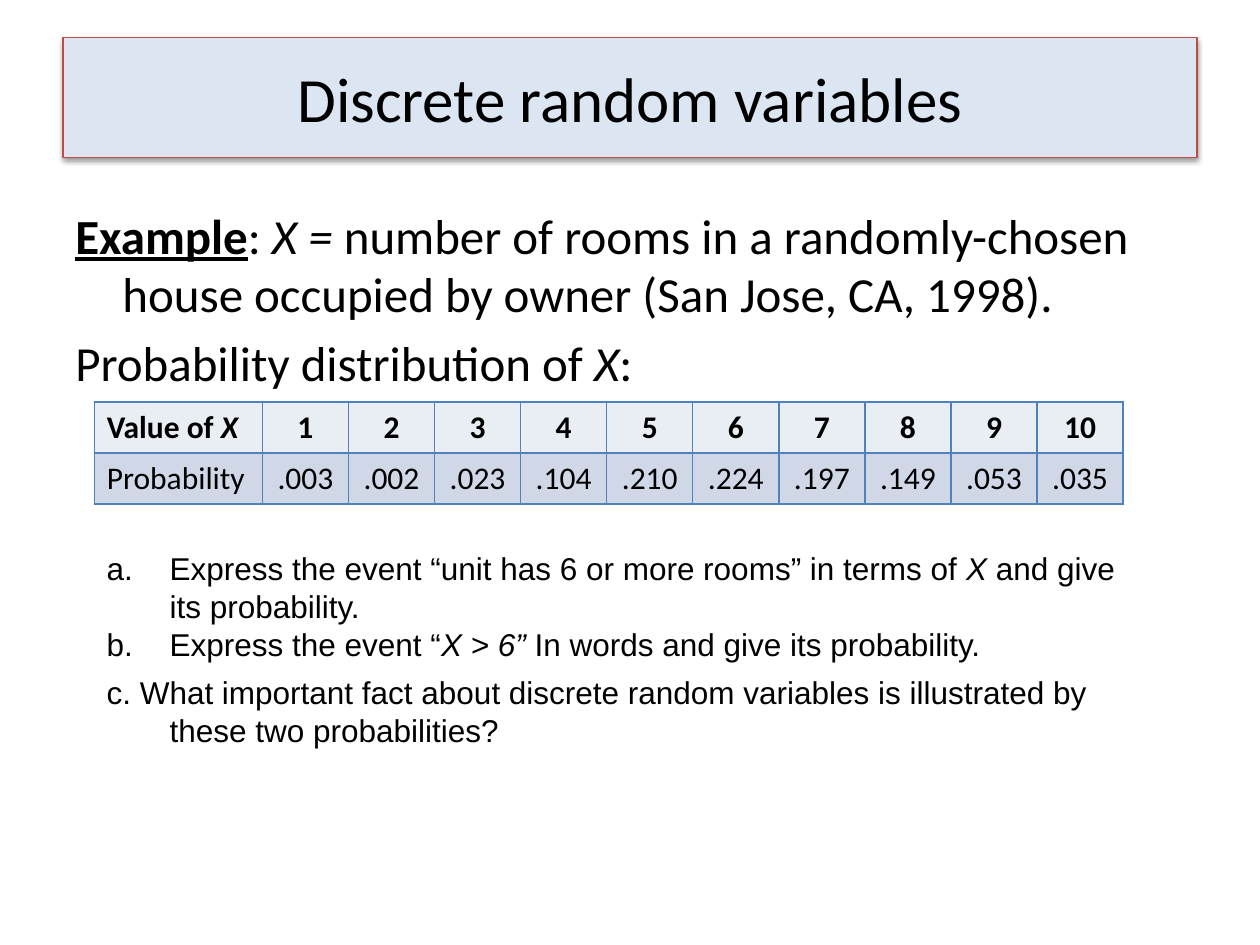
from lxml.etree import SubElement
from pptx import Presentation
from pptx.dml.color import RGBColor as RGB
from pptx.enum.shapes import MSO_SHAPE as Shape
from pptx.enum.text import MSO_ANCHOR as Anchor, PP_ALIGN as Align
from pptx.oxml import parse_xml
from pptx.oxml.ns import qn, nsdecls
from pptx.util import Cm, Pt

COLORS = {
    "text": "000000", "banner": "DCE6F2", "banner_line": "BE4B48",
    "head": "E9EDF4", "row": "D0D8E8", "grid": "4F81BD",
}
TITLE = "Discrete random variables"
INTRO = [
    [("Example", "bu"), (": ", ""), ("X = ", "i"),
     ("number of rooms in a randomly-chosen house occupied by owner "
      "(San Jose, CA, 1998).", "")],
    [("Probability distribution of ", ""), ("X", "i"), (":", "")],
]
HEAD = [("Value of ", "b"), ("X", "bi")]
PROBABILITIES = [".003", ".002", ".023", ".104", ".210",
                 ".224", ".197", ".149", ".053", ".035"]
QUESTIONS = [
    ([("Express the event “unit has 6 or more rooms” in terms of ", ""),
      ("X ", "i"), ("and give its probability.", "")], 1, 0),
    ([("Express the event “", ""), ("X > 6”", "i"),
      (" In words and give its probability.", "")], 2, 6),
    ([("c. What important fact about discrete random variables is "
       "illustrated by these two probabilities?", "")], None, 0),
]


def color(name):
    return RGB.from_string(COLORS[name])


def write(p, runs, size=18, font="Calibri", align=Align.LEFT,
          before=0, after=0, hang=0, number=None):
    p.alignment = align
    p.space_before, p.space_after = Pt(before), Pt(after)
    pPr = p._p.get_or_add_pPr()
    if hang:
        pPr.set("marL", str(Cm(hang)))
        pPr.set("indent", str(-Cm(hang)))
    if number:
        SubElement(pPr, qn("a:buFont"), typeface="+mj-lt")
        SubElement(pPr, qn("a:buAutoNum"), type="alphaLcPeriod",
                   startAt=str(number))
    for text, style in runs:
        r = p.add_run()
        r.text = text
        f = r.font
        f.name, f.size = font, Pt(size)
        f.color.rgb = color("text")
        f.bold, f.italic, f.underline = (k in style for k in "biu")


def add_text(s, left, top, width, height, paragraphs):
    tf = s.shapes.add_textbox(Cm(left), Cm(top), Cm(width), Cm(height)).text_frame
    tf.word_wrap = True
    for i, (runs, fmt) in enumerate(paragraphs):
        write(tf.add_paragraph() if i else tf.paragraphs[0], runs, **fmt)


def add_borders(cell):
    tcPr = cell._tc.get_or_add_tcPr()
    for i, side in enumerate(("lnL", "lnR", "lnT", "lnB")):
        tcPr.insert(i, parse_xml(
            f'<a:{side} {nsdecls("a")} w="{Pt(1)}"><a:solidFill>'
            f'<a:srgbClr val="{COLORS["grid"]}"/></a:solidFill></a:{side}>'))


def add_table(s):
    n = len(PROBABILITIES)
    rows = [
        [HEAD] + [[(str(i), "b")] for i in range(1, n + 1)],
        [[("Probability", "")]] + [[(v, "")] for v in PROBABILITIES],
    ]
    first, other, height = 3.39, 1.735, 1.03
    table = s.shapes.add_table(2, n + 1, Cm(1.9), Cm(8.1),
                               Cm(first + n * other), Cm(2 * height)).table
    for i, col in enumerate(table.columns):
        col.width = Cm(other if i else first)
    for y, (row, fill) in enumerate(zip(rows, ("head", "row"))):
        table.rows[y].height = Cm(height)
        for x, runs in enumerate(row):
            cell = table.cell(y, x)
            cell.fill.solid()
            cell.fill.fore_color.rgb = color(fill)
            add_borders(cell)
            write(cell.text_frame.paragraphs[0], runs,
                  align=Align.CENTER if x else Align.LEFT)


def add_banner(s):
    sp = s.shapes.add_shape(Shape.RECTANGLE, Cm(1.27), Cm(0.76), Cm(22.86), Cm(2.41))
    sp.fill.solid()
    sp.fill.fore_color.rgb = color("banner")
    sp.line.color.rgb = color("banner_line")
    sp.line.width = Pt(0.75)
    sp.shadow.inherit = False
    effects = sp._element.spPr.find(qn("a:effectLst"))
    effects.append(parse_xml(
        f'<a:outerShdw {nsdecls("a")} blurRad="{Pt(3.1)}" dist="{Pt(1.6)}" '
        'dir="5400000" rotWithShape="0"><a:srgbClr val="000000">'
        '<a:alpha val="38000"/></a:srgbClr></a:outerShdw>'))
    sp.text_frame.vertical_anchor = Anchor.MIDDLE
    write(sp.text_frame.paragraphs[0], [(TITLE, "")], size=36, align=Align.CENTER)


def main():
    prs = Presentation()
    prs.slide_width, prs.slide_height = Cm(25.4), Cm(19.05)
    s = prs.slides.add_slide(prs.slide_layouts[6])
    add_text(s, 1.27, 4.01, 22.86, 3.86,
             [(runs, dict(size=28, before=5.6, hang=0.95)) for runs in INTRO])
    add_table(s)
    add_text(s, 1.9, 10.95, 21.39, 6.63,
             [(runs, dict(font="Arial", hang=1.27, number=number, after=after))
              for runs, number, after in QUESTIONS])
    add_banner(s)
    prs.save("out.pptx")


if __name__ == "__main__":
    main()
